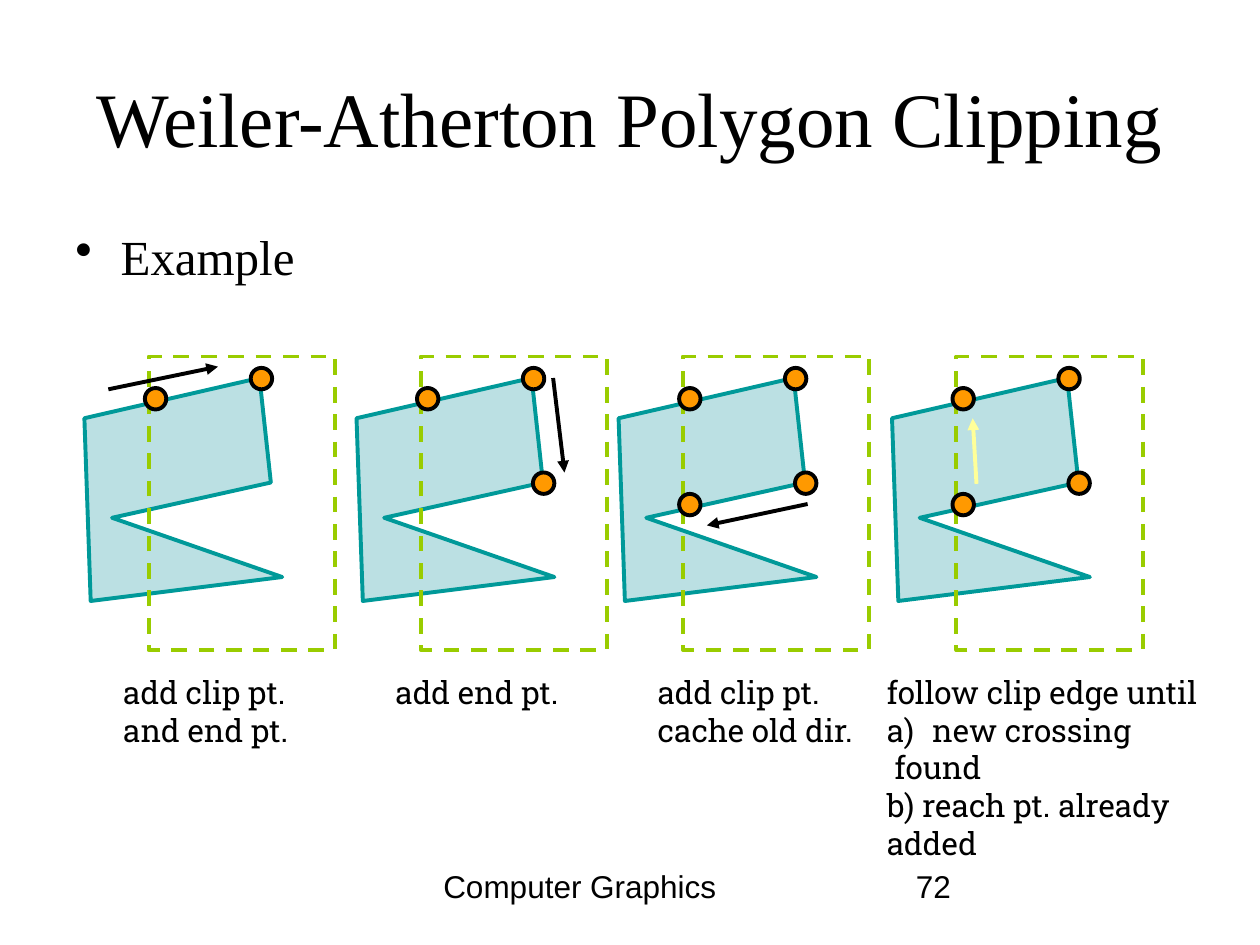
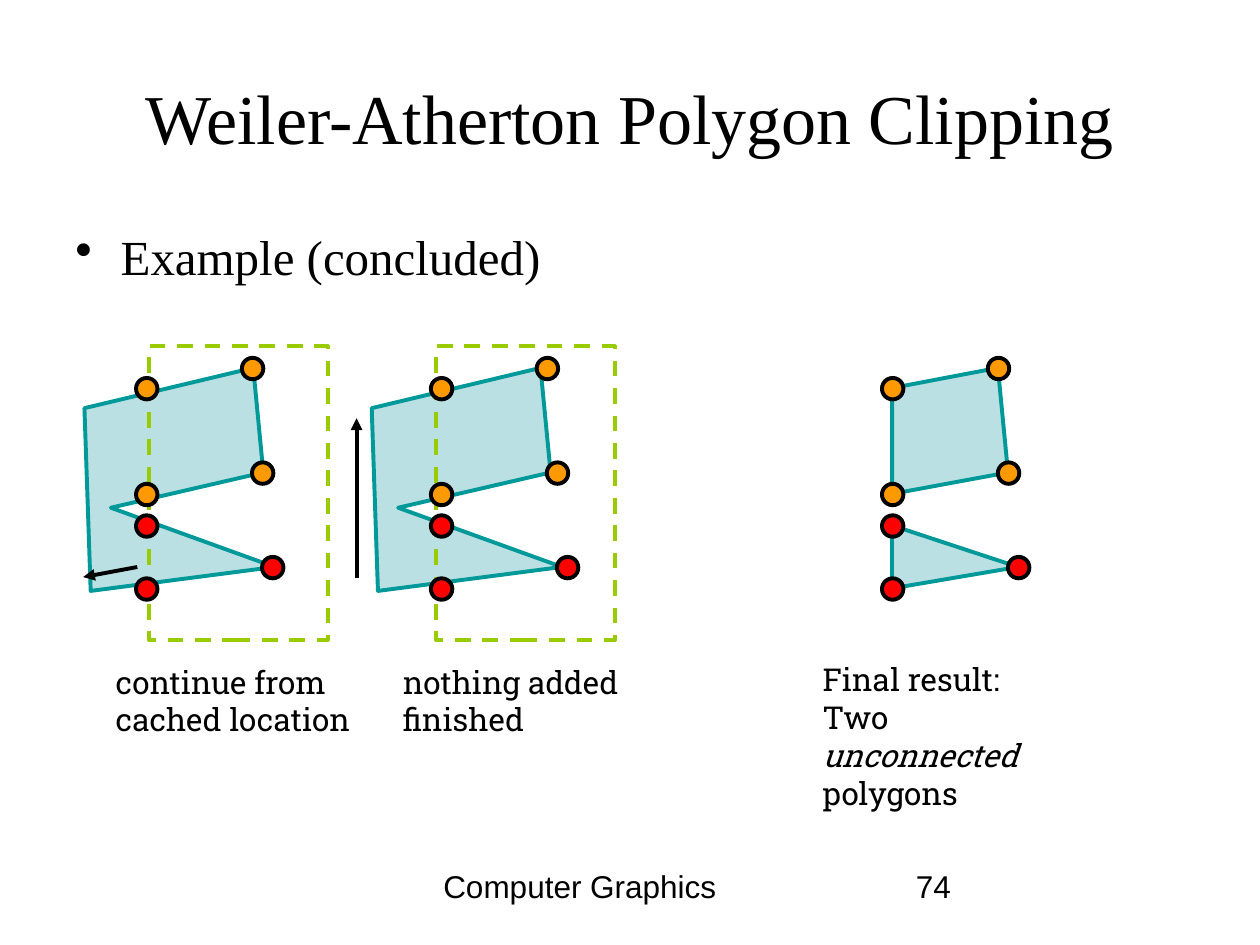
"""Builds two slides that step through Weiler-Atherton polygon clipping."""
from dataclasses import dataclass

from lxml import etree
from pptx import Presentation
from pptx import util as u
from pptx.dml.color import RGBColor
from pptx.enum import dml, shapes, text
from pptx.oxml.ns import qn

PX = 9144


@dataclass(frozen=True)
class Theme:
    ink: str = "000000"
    polygon_fill: str = "BBE0E3"
    polygon_line: str = "009999"
    window: str = "99CC00"
    first_loop: str = "FF9900"
    second_loop: str = "FF0000"
    clip_arrow: str = "FFFF99"
    heading_font: str = "Times New Roman"
    caption_font: str = "Roboto Slab"
    footer_font: str = "Arial"
    body_size: int = 28
    small_size: int = 18
    line_width: float = 2.25


THEME = Theme()
SUBJECT = [(0, 32), (139, 0), (148, 83), (22, 111), (157, 158), (5, 177)]
NARROW_SUBJECT = [(round(x * 151 / 157), y) for x, y in SUBJECT]
FIRST_LOOP = [(0, 16), (84, 0), (92, 83), (0, 100)]
SECOND_LOOP = [(0, 125), (100, 158), (0, 175)]
DOT_SIZE = 17
WINDOW_OFFSET = 51
WINDOW_RISE = 17
WINDOW_HEIGHT = 233


def px(*lengths):
    return [u.Emu(length * PX) for length in lengths]


def rgb(color):
    return RGBColor.from_string(color)


def style_line(line, color):
    line.color.rgb = rgb(color)
    line.width = u.Pt(THEME.line_width)


def style_shape(shape, fill, line):
    shape.shadow.inherit = False
    if fill:
        shape.fill.solid()
        shape.fill.fore_color.rgb = rgb(fill)
    else:
        shape.fill.background()
    style_line(shape.line, line)


def style_font(font, name, size):
    font.name = name
    font.size = u.Pt(size)
    font.color.rgb = rgb(THEME.ink)


def set_hanging(paragraph, left, hang):
    properties = paragraph._p.get_or_add_pPr()
    properties.set("marL", str(left * PX))
    properties.set("indent", str(-hang * PX))
    return properties


def add_bullet(paragraph, left, hang, tag, **attributes):
    properties = set_hanging(paragraph, left, hang)
    color = etree.SubElement(properties, qn("a:buClr"))
    etree.SubElement(color, qn("a:srgbClr"), val=THEME.ink)
    etree.SubElement(properties, qn(tag), **attributes)


def add_text(slide, box, lines, font, size):
    frame = slide.shapes.add_textbox(*px(*box)).text_frame
    frame.word_wrap = True
    for index, line in enumerate(lines):
        paragraph = frame.paragraphs[0] if index == 0 else frame.add_paragraph()
        paragraph.add_run().text = line
        style_font(paragraph.font, font, size)
    return frame


def add_caption(slide, x, y, width, lines):
    box = (x, y, width, 10 + 30 * len(lines))
    return add_text(slide, box, lines, THEME.caption_font, THEME.small_size)


def add_frame(slide, title_size, topic, number):
    title = add_text(slide, (50, 30, 900, 125), ["Weiler-Atherton Polygon Clipping"],
                     THEME.heading_font, title_size)
    title.vertical_anchor = text.MSO_ANCHOR.MIDDLE
    title.paragraphs[0].alignment = text.PP_ALIGN.CENTER

    body = add_text(slide, (50, 175, 900, 60), [], THEME.heading_font, THEME.body_size)
    paragraph = body.paragraphs[0]
    add_bullet(paragraph, 36, 36, "a:buChar", char="•")
    paragraph.add_run().text = topic
    style_font(paragraph.font, THEME.heading_font, THEME.body_size)

    for x, width, label in ((342, 316, "Computer Graphics"), (717, 232, number)):
        add_text(slide, (x, 683, width, 51), [label], THEME.footer_font, THEME.small_size)


def add_polygon(slide, x, y, points):
    corners = [(x + dx, y + dy) for dx, dy in points]
    builder = slide.shapes.build_freeform(*corners[0], scale=PX)
    builder.add_line_segments(corners[1:], close=True)
    style_shape(builder.convert_to_shape(), THEME.polygon_fill, THEME.polygon_line)


def add_window(slide, x, y, width):
    window = slide.shapes.add_shape(shapes.MSO_SHAPE.RECTANGLE,
                                    *px(x, y, width, WINDOW_HEIGHT))
    style_shape(window, None, THEME.window)
    window.line.dash_style = dml.MSO_LINE.DASH


def add_dots(slide, x, y, points, color):
    for dx, dy in points:
        box = px(x + dx - DOT_SIZE // 2, y + dy - DOT_SIZE // 2, DOT_SIZE, DOT_SIZE)
        dot = slide.shapes.add_shape(shapes.MSO_SHAPE.OVAL, *box)
        style_shape(dot, color, THEME.ink)


def add_arrow(slide, start, end, color=THEME.ink):
    arrow = slide.shapes.add_connector(shapes.MSO_CONNECTOR.STRAIGHT, *px(*start, *end))
    style_line(arrow.line, color)
    etree.SubElement(arrow.line._get_or_add_ln(), qn("a:tailEnd"), type="triangle")
    etree.SubElement(arrow._element.spPr, qn("a:effectLst"))


def add_panel(slide, x, y, subject, window_width):
    add_polygon(slide, x, y, subject)
    add_window(slide, x + WINDOW_OFFSET, y - WINDOW_RISE, window_width)


def build_example(slide):
    add_frame(slide, 44, "Example", "72")
    top, caption_top = 300, 529
    panels = [
        (67, 2, (86, 309), (173, 291), THEME.ink),
        (283, 3, (439, 300), (448, 375), THEME.ink),
        (491, 4, (641, 400), (561, 417), THEME.ink),
        (708, 4, (775, 384), (772, 332), THEME.clip_arrow),
    ]
    for x, dot_count, start, end, color in panels:
        add_panel(slide, x, top, SUBJECT, 148)
        add_arrow(slide, start, end, color)
        add_dots(slide, x + 56, top, FIRST_LOOP[:dot_count], THEME.first_loop)

    add_caption(slide, 88, caption_top, 160, ["add clip pt.", "and end pt."])
    add_caption(slide, 304, caption_top, 159, ["add end pt."])
    add_caption(slide, 512, caption_top, 185, ["add clip pt.", "cache old dir."])
    steps = add_caption(slide, 692, caption_top, 345,
                        ["follow clip edge until", "new crossing", " found",
                         "b) reach pt. already", "added"])
    for paragraph in steps.paragraphs:
        set_hanging(paragraph, 38, 36)
    crossing = steps.paragraphs[1]
    crossing.clear()
    crossing._p.remove(crossing._p.pPr)
    add_bullet(crossing, 38, 36, "a:buAutoNum", type="alphaLcParenR")
    crossing.add_run().text = "new crossing"
    style_font(crossing.font, THEME.caption_font, THEME.small_size)


def build_conclusion(slide):
    add_frame(slide, 40, "Example (concluded)", "74")
    top, result_x = 292, 708
    for x in (67, 295):
        add_panel(slide, x, top, NARROW_SUBJECT, 142)
    add_arrow(slide, (109, 450), (66, 458))
    add_arrow(slide, (283, 459), (283, 332))

    for loop in (FIRST_LOOP, SECOND_LOOP):
        add_polygon(slide, result_x, top, loop)
    for x in (116, 350, result_x):
        add_dots(slide, x, top, FIRST_LOOP, THEME.first_loop)
        add_dots(slide, x, top, SECOND_LOOP, THEME.second_loop)

    add_caption(slide, 82, 521, 210, ["continue from", "cached location"])
    add_caption(slide, 310, 521, 196, ["nothing added", "finished"])
    result = add_caption(slide, 643, 519, 228, ["Final result:", "Two ", "polygons"])
    emphasis = result.paragraphs[1].add_run()
    emphasis.text = "unconnected"
    emphasis.font.italic = True


def main():
    presentation = Presentation()
    presentation.slide_width, presentation.slide_height = px(1000, 750)
    for build in (build_example, build_conclusion):
        build(presentation.slides.add_slide(presentation.slide_layouts[6]))
    presentation.save("out.pptx")


if __name__ == "__main__":
    main()
